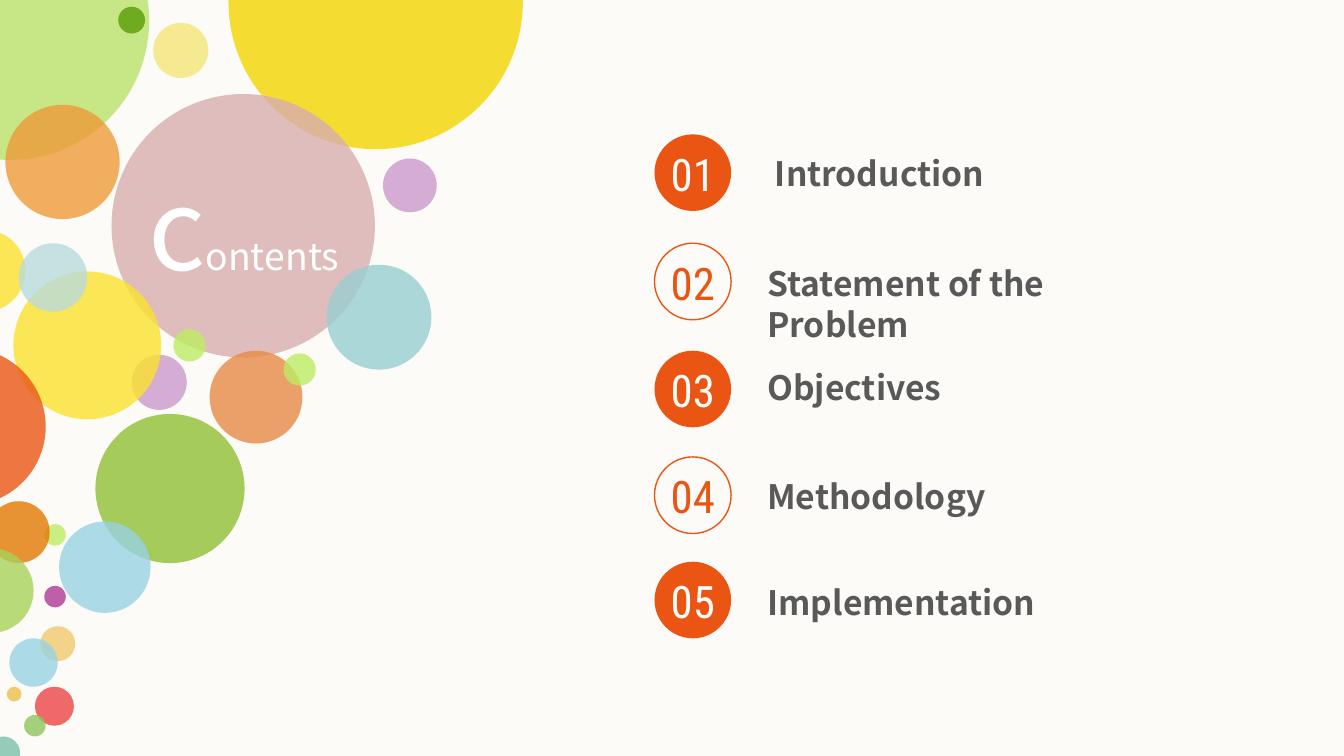
from lxml import etree
from pptx import Presentation
from pptx.dml.color import RGBColor
from pptx.enum import shapes, text
from pptx.oxml.ns import qn
from pptx.util import Inches, Pt

COLORS = {
    "background": "FCFBF7", "accent": "EA5514", "label": "595959", "white": "FFFFFF",
    "pale green": "BAE36B", "dark green": "6EAB1F", "leaf": "A5CB5A", "grass": "A9D25A",
    "lime": "BCED61", "moss": "8DC65B", "amber": "ED9B38", "copper": "E78A47",
    "orange": "E27902", "cream": "F5EA91", "gold": "F4D500", "yellow": "FBE22D",
    "sand": "F0CA6C", "rose": "D8AEAF", "red": "EB4544", "lilac": "CB99CC",
    "purple": "B03896", "teal": "99CED2", "sea": "7BBFAA", "sky": "98D2E3",
    "mist": "B9DBDD",
}
SANS, CONDENSED = "Noto Sans CJK SC", "Roboto Condensed"


def add_circle(left, top, size, fill=None, line=None, opacity=100):
    sp = s.shapes.add_shape(shapes.MSO_SHAPE.OVAL, Inches(left), Inches(top),
                            Inches(size), Inches(size))
    sp.shadow.inherit = False
    if fill:
        sp.fill.solid()
        sp.fill.fore_color.rgb = RGBColor.from_string(COLORS[fill])
        if opacity < 100:
            clr = sp.element.spPr.find(".//" + qn("a:srgbClr"))
            etree.SubElement(clr, qn("a:alpha"), val=str(opacity * 1000))
    else:
        sp.fill.background()
    if line:
        sp.line.color.rgb = RGBColor.from_string(COLORS[line])
        sp.line.width = Pt(0.75)
    else:
        sp.line.fill.background()


def write(sp, *runs, font=SANS, color="label", bold=False, align=text.PP_ALIGN.LEFT):
    """Fill a text shape with one paragraph of (wording, size) runs."""
    tf = sp.text_frame
    tf.margin_left = tf.margin_top = tf.margin_right = tf.margin_bottom = 0
    tf.word_wrap = True
    tf.auto_size = text.MSO_AUTO_SIZE.SHAPE_TO_FIT_TEXT
    tf.vertical_anchor = text.MSO_ANCHOR.TOP
    p = tf.paragraphs[0]
    p.alignment = align
    for wording, size in runs:
        r = p.add_run()
        r.text = wording
        r.font.name = font
        r.font.size = Pt(size)
        r.font.bold = bold
        r.font.color.rgb = RGBColor.from_string(COLORS[color])
        etree.SubElement(r.font._element, qn("a:ea"), typeface=font)


prs = Presentation()
prs.slide_width = Inches(10)
prs.slide_height = Inches(10 * 9 / 16)
s = prs.slides.add_slide(prs.slide_layouts[5])
s.background.fill.solid()
s.background.fill.fore_color.rgb = RGBColor.from_string(COLORS["background"])

# Bubbles from back to front: left, top, diameter, colour, opacity
bubbles = [
    (-0.96, -0.88, 2.07, "pale green", 80),
    (0.88, 0.05, 0.2, "dark green", 100),
    (0.04, 0.78, 0.85, "amber", 80),
    (1.14, 0.17, 0.41, "cream", 100),
    (1.7, -1.08, 2.19, "gold", 80),
    (0.83, 0.7, 1.96, "rose", 80),
    (2.43, 1.97, 0.78, "teal", 80),
    (2.85, 1.18, 0.4, "lilac", 80),
    (1.56, 2.61, 0.69, "copper", 80),
    (0.71, 3.08, 1.11, "leaf", 100),
    (2.11, 2.63, 0.24, "lime", 80),
    (1.29, 2.45, 0.24, "lime", 80),
    (0.98, 2.64, 0.41, "lilac", 80),
    (0.1, 2.02, 1.1, "yellow", 80),
    (-0.42, 1.71, 0.61, "yellow", 80),
    (0.33, 3.9, 0.16, "lime", 80),
    (0.33, 4.36, 0.16, "purple", 80),
    (0.3, 4.66, 0.26, "sand", 80),
    (0.05, 5.11, 0.11, "sand", 100),
    (-0.1, 5.48, 0.25, "sea", 80),
    (0.26, 5.11, 0.29, "red", 80),
    (0.18, 5.32, 0.16, "moss", 80),
    (0.07, 4.75, 0.36, "sky", 80),
    (0.14, 1.81, 0.51, "mist", 80),
    (0.44, 3.88, 0.68, "sky", 80),
    (-0.09, 3.73, 0.46, "orange", 80),
    (-0.38, 4.08, 0.63, "grass", 80),
    (-0.83, 2.59, 1.17, "accent", 80),
]
for left, top, size, color, opacity in bubbles:
    add_circle(left, top, size, fill=color, opacity=opacity)

# The title sits in front of the bubbles
title = s.shapes.title
s.shapes.element.append(title.element)
title.left, title.top = Inches(1.06), Inches(1.18)
title.width, title.height = Inches(1.51), Inches(1.01)
write(title, ("c", 60), ("ontents", 20), color="white", align=text.PP_ALIGN.CENTER)

# Agenda: badge top, label top, label height and label; badges alternate in style
agenda = [
    (1, 1.14, 0.3, " Introduction"),
    (1.81, 1.96, 0.61, "Statement of the Problem"),
    (2.61, 2.73, 0.3, "Objectives"),
    (3.4, 3.54, 0.3, "Methodology"),
    (4.18, 4.33, 0.3, "Implementation"),
]
for number, (top, label_top, height, label) in enumerate(agenda, 1):
    filled = number % 2 == 1
    add_circle(4.87, top, 0.57, **{"fill" if filled else "line": "accent"})
    badge = s.shapes.add_textbox(Inches(4.87), Inches(top + 0.09), Inches(0.57), Inches(0.4))
    write(badge, (f"{number:02}", 24), font=CONDENSED,
          color="background" if filled else "accent", align=text.PP_ALIGN.CENTER)
    entry = s.shapes.add_textbox(Inches(5.71), Inches(label_top), Inches(2.76), Inches(height))
    write(entry, (label, 18), bold=True)

prs.save("out.pptx")
